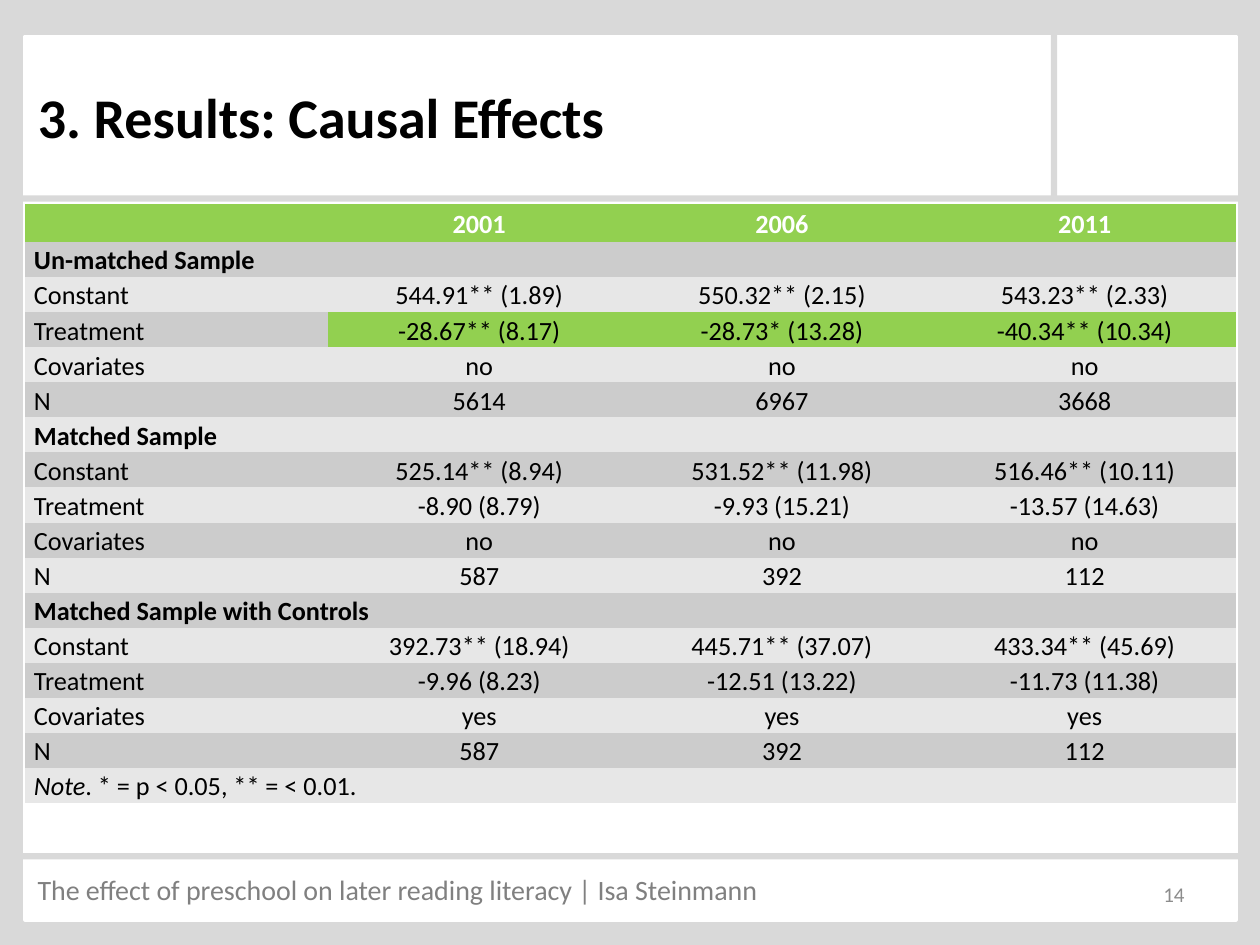
import pptx
import pptx.dml.color
import pptx.enum.shapes
import pptx.enum.text
import pptx.util

COLORS = {
    "backdrop": "D9D9D9", "panel": "FFFFFF", "accent": "92D050",
    "band_dark": "CCCCCC", "band_light": "E7E7E7",
    "ink": "000000", "footer": "808080", "number": "8C8C8C",
}
COLUMNS, ROWS = 100, 75
NO_STYLE_NO_GRID = "{2D5ABB26-0587-4C30-8999-92F81FD0307C}"
ALIGN = pptx.enum.text.PP_ALIGN
MIDDLE = pptx.enum.text.MSO_ANCHOR.MIDDLE

YEARS = ["2001", "2006", "2011"]
SAMPLES = {
    "Un-matched Sample": [
        ["Constant", "544.91** (1.89)", "550.32** (2.15)", "543.23** (2.33)"],
        ["Treatment", "-28.67** (8.17)", "-28.73* (13.28)", "-40.34** (10.34)"],
        ["Covariates", "no", "no", "no"],
        ["N", "5614", "6967", "3668"],
    ],
    "Matched Sample": [
        ["Constant", "525.14** (8.94)", "531.52** (11.98)", "516.46** (10.11)"],
        ["Treatment", "-8.90 (8.79)", "-9.93 (15.21)", "-13.57 (14.63)"],
        ["Covariates", "no", "no", "no"],
        ["N", "587", "392", "112"],
    ],
    "Matched Sample with Controls": [
        ["Constant", "392.73** (18.94)", "445.71** (37.07)", "433.34** (45.69)"],
        ["Treatment", "-9.96 (8.23)", "-12.51 (13.22)", "-11.73 (11.38)"],
        ["Covariates", "yes", "yes", "yes"],
        ["N", "587", "392", "112"],
    ],
}
NOTE = ["Note", ". * = p < 0.05, ** = < 0.01."]
HIGHLIGHTED_ROW = 3


def rgb(name):
    return pptx.dml.color.RGBColor.from_string(COLORS[name])


class SlideBuilder:
    """Draws on one slide; places are (column, row, columns, rows) of the grid."""

    font = "Calibri"

    def __init__(self, deck):
        self.unit_x = deck.slide_width / COLUMNS
        self.unit_y = deck.slide_height / ROWS
        self.slide = deck.slides.add_slide(deck.slide_layouts[5])
        self.slide.background.fill.solid()
        self.slide.background.fill.fore_color.rgb = rgb("backdrop")

    def box(self, place):
        units = (self.unit_x, self.unit_y) * 2
        return [round(share * unit) for share, unit in zip(place, units)]

    def format_runs(self, paragraph, size, color, bold=False):
        for run in paragraph.runs:
            run.font.name = self.font
            run.font.size = pptx.util.Pt(size)
            run.font.bold = bold
            run.font.color.rgb = rgb(color)

    def bar(self, place, color, line_width=0):
        rectangle = pptx.enum.shapes.MSO_SHAPE.RECTANGLE
        bar = self.slide.shapes.add_shape(rectangle, *self.box(place))
        bar.shadow.inherit = False
        bar.fill.solid()
        bar.fill.fore_color.rgb = rgb(color)
        if line_width:
            bar.line.color.rgb = rgb(color)
            bar.line.width = pptx.util.Pt(line_width)
        else:
            bar.line.fill.background()

    def title(self, place, text):
        title = self.slide.shapes.title
        title.left, title.top, title.width, title.height = self.box(place)
        frame = title.text_frame
        frame.text = text
        frame.vertical_anchor = MIDDLE
        frame.paragraphs[0].alignment = ALIGN.LEFT
        self.format_runs(frame.paragraphs[0], 32, "ink", bold=True)
        # The title comes first in the layout; bring it in front of the panel.
        title._element.getparent().append(title._element)

    def label(self, place, text, size, color, align=ALIGN.LEFT,
              anchor=pptx.enum.text.MSO_ANCHOR.TOP):
        frame = self.slide.shapes.add_textbox(*self.box(place)).text_frame
        frame.word_wrap = True
        frame.vertical_anchor = anchor
        frame.text = text
        frame.paragraphs[0].alignment = align
        self.format_runs(frame.paragraphs[0], size, color)

    def cell(self, cell, text, fill, align, color="ink", bold=False):
        cell.fill.solid()
        cell.fill.fore_color.rgb = rgb(fill)
        cell.vertical_anchor = MIDDLE
        cell.margin_left = cell.margin_right = pptx.util.Inches(0.07)
        cell.margin_top = cell.margin_bottom = 0
        paragraph = cell.text_frame.paragraphs[0]
        paragraph.text = text
        paragraph.alignment = align
        paragraph.line_spacing = pptx.util.Pt(20)
        self.format_runs(paragraph, 15, color, bold)

    def results_table(self, place):
        rows = [[""] + YEARS]
        for sample, measures in SAMPLES.items():
            rows += [[sample]] + measures
        rows.append(["".join(NOTE)])
        column_count = len(rows[0])

        frame = self.slide.shapes.add_table(len(rows), column_count, *self.box(place))
        table = frame.table
        table.first_row = table.horz_banding = False
        table._tbl.tblPr.find(pptx.oxml.ns.qn("a:tableStyleId")).text = NO_STYLE_NO_GRID

        for r, texts in enumerate(rows):
            table.rows[r].height = round(frame.height / len(rows))
            band = "band_dark" if r % 2 else "band_light"
            spans = len(texts) == 1
            for c, text in enumerate(texts + [""] * (column_count - len(texts))):
                highlighted = r == 0 or (r == HIGHLIGHTED_ROW and c > 0)
                self.cell(table.cell(r, c), text,
                          fill="accent" if highlighted else band,
                          align=ALIGN.CENTER if c else ALIGN.JUSTIFY,
                          color="ink" if r else "panel",
                          bold=r == 0 or text in SAMPLES)
            if spans:
                table.cell(r, 0).merge(table.cell(r, column_count - 1))

        note = table.cell(len(rows) - 1, 0).text_frame.paragraphs[0]
        note.runs[0].text = NOTE[0]
        note.add_run().text = NOTE[1]
        self.format_runs(note, 15, "ink")
        note.runs[0].font.italic = True


def main():
    deck = pptx.Presentation()
    deck.slide_width = pptx.util.Inches(10)
    deck.slide_height = pptx.util.Inches(7.5)

    builder = SlideBuilder(deck)
    builder.bar((2, 2.9, 96.1, 70.1), "panel", line_width=2)
    builder.bar((0, 67.7, 100, 0.5), "backdrop")
    builder.label((2, 68.8, 86.6, 6.4),
                  "The effect of preschool on later reading literacy | Isa Steinmann",
                  16, "footer")
    builder.bar((0.8, 15.5, 98.8, 0.5), "backdrop")
    builder.bar((83.4, 0.5, 0.5, 15.4), "backdrop")
    builder.title((2, 3, 81.1, 12.5), "3. Results: Causal Effects")
    builder.label((71.7, 69, 23.3, 4), "14", 12, "number", ALIGN.RIGHT, MIDDLE)
    builder.results_table((2, 16.2, 96.1, 47.2))
    deck.save("out.pptx")


if __name__ == "__main__":
    main()
